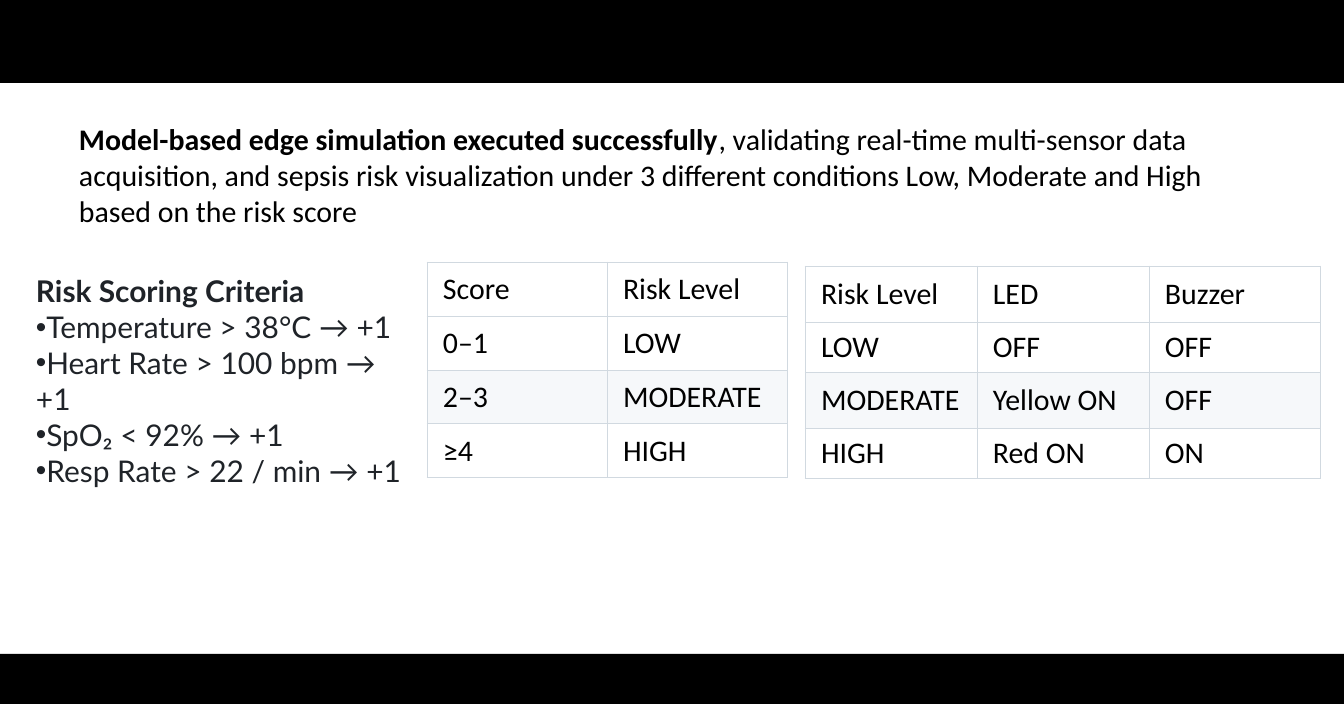
"""Build the slide on edge simulation results and sepsis risk scoring."""
from dataclasses import dataclass

from lxml import etree
from pptx import Presentation
from pptx.dml.color import RGBColor
from pptx.enum.shapes import MSO_SHAPE
from pptx.enum.text import MSO_ANCHOR, MSO_AUTO_SIZE, PP_ALIGN
from pptx.oxml.ns import qn
from pptx.util import Pt

RECTANGLE = MSO_SHAPE.RECTANGLE
TOP, MIDDLE = MSO_ANCHOR.TOP, MSO_ANCHOR.MIDDLE
LEFT = PP_ALIGN.LEFT
NO_AUTOFIT = MSO_AUTO_SIZE.NONE
TITLE_AND_CONTENT = 1

SLIDE_SIZE = (1344, 704)
BANDS = [(0, 0, 1344, 83), (0, 654, 1344, 50)]
SUMMARY = [
    ("Model-based edge simulation executed successfully", True),
    (", validating real-time multi-sensor data acquisition, and sepsis risk "
     "visualization under 3 different conditions Low, Moderate and High "
     "based on the risk score", False),
]
SUMMARY_BOX = (67, 115, 1183, 128)
CRITERIA_HEADING = "Risk Scoring Criteria"
CRITERIA = [
    "Temperature > 38°C → +1",
    "Heart Rate > 100 bpm → +1",
    "SpO₂ < 92% → +1",
    "Resp Rate > 22 / min → +1",
]
CRITERIA_BOX = (24, 267, 390, 265)
TABLES = [
    {
        "corner": (427, 262), "column_width": 180, "row_heights": [54] * 4,
        "rows": [("Score", "Risk Level"), ("0–1", "LOW"),
                 ("2–3", "MODERATE"), ("≥4", "HIGH")],
    },
    {
        "corner": (805, 266), "column_width": 172, "row_heights": [56, 50] * 2,
        "rows": [("Risk Level", "LED", "Buzzer"), ("LOW", "OFF", "OFF"),
                 ("MODERATE", "Yellow ON", "OFF"), ("HIGH", "Red ON", "ON")],
    },
]
SHADED_ROW = 2
CELL_INSET = (16, 7)


@dataclass(frozen=True)
class Theme:
    black: str = "000000"
    white: str = "FFFFFF"
    ink: str = "1F2328"
    stripe: str = "F6F8FA"
    border: str = "D1D9E0"
    border_width: float = 0.6
    size: int = 18
    font: str = "Calibri"
    list_font: str = "Lato"


THEME = Theme()


def px(length):
    return length * 7652


def box(values):
    return [px(value) for value in values]


def paint(fill, color):
    fill.solid()
    fill.fore_color.rgb = RGBColor.from_string(color)


def style(paragraph, name, color, bold=None):
    font = paragraph.font
    font.name, font.size, font.bold = name, Pt(THEME.size), bold
    font.color.rgb = RGBColor.from_string(color)
    paragraph.alignment = LEFT
    paragraph.space_before = Pt(0)


def place(placeholder, bounds):
    placeholder.left, placeholder.top, placeholder.width, placeholder.height = box(bounds)
    frame = placeholder.text_frame
    frame.word_wrap = True
    frame.auto_size = NO_AUTOFIT
    frame.vertical_anchor = TOP
    return frame


def set_bullet(paragraph, char=None):
    properties = paragraph._p.get_or_add_pPr()
    properties.set("marL", "0")
    properties.set("indent", "0")
    bullet = etree.Element(qn("a:buChar" if char else "a:buNone"))
    if char:
        bullet.set("char", char)
    properties.insert_element_before(bullet, "a:tabLst", "a:defRPr", "a:extLst")


def set_borders(cell):
    properties = cell._tc.get_or_add_tcPr()
    for side in ("a:lnL", "a:lnR", "a:lnT", "a:lnB"):
        line = etree.SubElement(properties, qn(side), w=str(Pt(THEME.border_width)))
        fill = etree.SubElement(line, qn("a:solidFill"))
        etree.SubElement(fill, qn("a:srgbClr"), val=THEME.border)


def add_band(slide, bounds):
    band = slide.shapes.add_shape(RECTANGLE, *box(bounds))
    band.shadow.inherit = False
    paint(band.fill, THEME.black)
    band.line.fill.background()


def fill_summary(title):
    paragraph = place(title, SUMMARY_BOX).paragraphs[0]
    style(paragraph, THEME.font, THEME.black)
    for text, bold in SUMMARY:
        run = paragraph.add_run()
        run.text = text
        run.font.bold = bold


def fill_criteria(body):
    frame = place(body, CRITERIA_BOX)
    frame.text = "\n".join([CRITERIA_HEADING, *CRITERIA])
    for index, paragraph in enumerate(frame.paragraphs):
        style(paragraph, THEME.list_font, THEME.ink, index == 0)
        set_bullet(paragraph, "•" if index else None)


def add_risk_table(slide, content):
    rows, heights = content["rows"], content["row_heights"]
    column_count = len(rows[0])
    size = (content["column_width"] * column_count, sum(heights))
    table = slide.shapes.add_table(
        len(rows), column_count, *box(content["corner"] + size)).table
    table.first_row = table.horz_banding = False
    for column in table.columns:
        column.width = px(content["column_width"])
    side, end = box(CELL_INSET)
    for row_index, texts in enumerate(rows):
        table.rows[row_index].height = px(heights[row_index])
        for column_index, text in enumerate(texts):
            cell = table.cell(row_index, column_index)
            cell.text = text
            cell.vertical_anchor = MIDDLE
            cell.margin_left = cell.margin_right = side
            cell.margin_top = cell.margin_bottom = end
            style(cell.text_frame.paragraphs[0], THEME.font, THEME.black)
            set_borders(cell)
            paint(cell.fill, THEME.stripe if row_index == SHADED_ROW else THEME.white)


def main():
    deck = Presentation()
    deck.slide_width, deck.slide_height = box(SLIDE_SIZE)
    slide = deck.slides.add_slide(deck.slide_layouts[TITLE_AND_CONTENT])
    paint(slide.background.fill, THEME.white)
    for bounds in BANDS:
        add_band(slide, bounds)
    fill_summary(slide.shapes.title)
    fill_criteria(slide.placeholders[1])
    for content in TABLES:
        add_risk_table(slide, content)
    deck.save("out.pptx")


if __name__ == "__main__":
    main()
